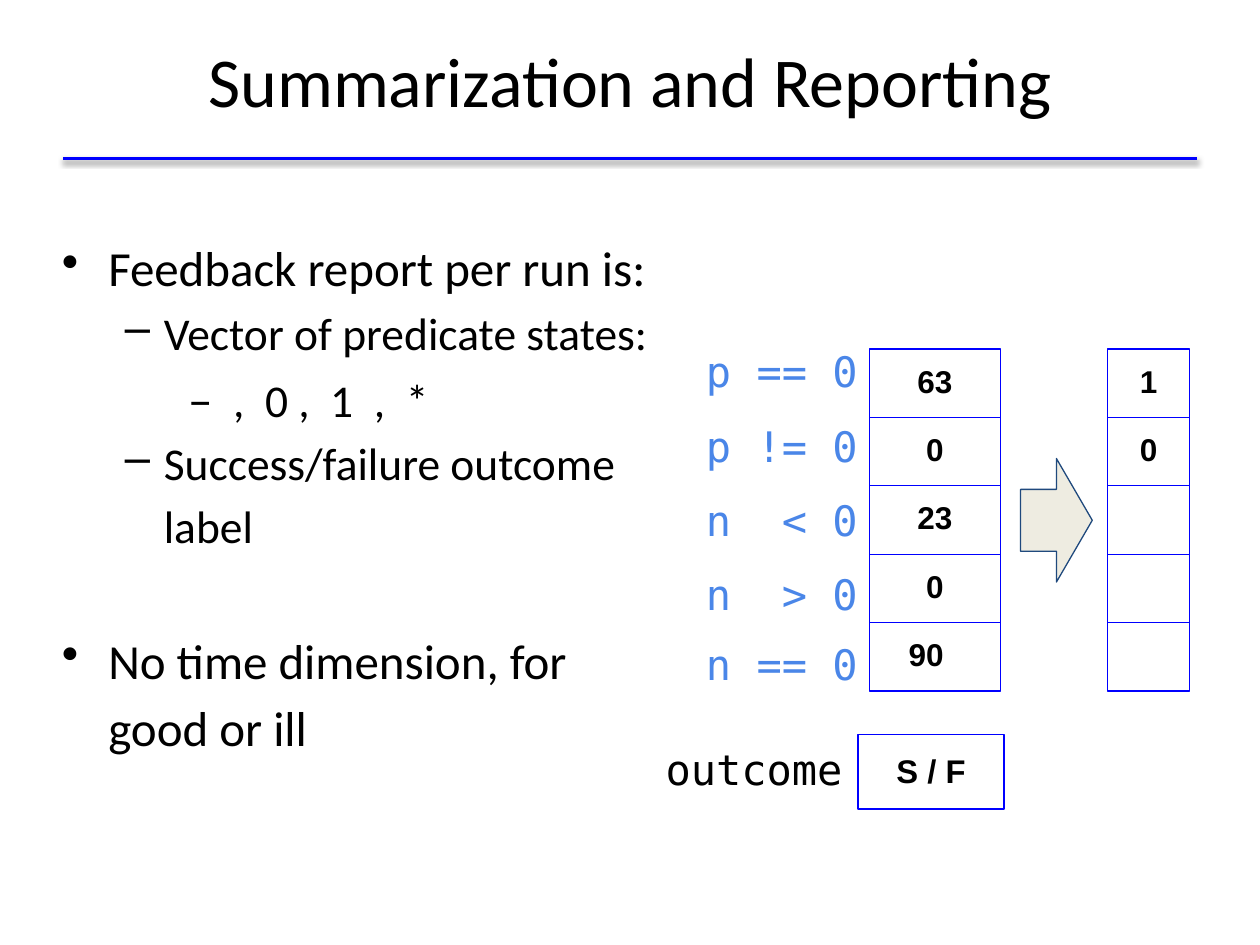
from lxml import etree
from pptx import Presentation
from pptx import util as u
from pptx.dml import color
from pptx.enum import shapes, text
from pptx.oxml import ns

Pt = u.Pt
BLUE = "0000FF"


def rgb(value):
    return color.RGBColor.from_string(value)


def write(shape, words, size, font="Calibri", ink="000000", bold=False, align="LEFT",
          spacing=1.0, before=0, margin=0, hanging=0, bullet=None, join=False):
    """Add a paragraph, or with join a run at the end of the last one."""
    frame = shape.text_frame
    paragraph = frame.paragraphs[-1]
    if not join:
        if paragraph.runs:
            paragraph = frame.add_paragraph()
        paragraph.alignment = getattr(text.PP_ALIGN, align)
        paragraph.line_spacing = spacing
        paragraph.space_before = Pt(before)
        properties = paragraph._p.get_or_add_pPr()
        properties.set("marL", str(Pt(margin)))
        properties.set("indent", str(Pt(-hanging)))
        if bullet:
            etree.SubElement(properties, ns.qn("a:buChar"), char=bullet)
    for index, line in enumerate(words.split("\n")):
        if index:
            paragraph.add_line_break()
        run = paragraph.add_run()
        run.text = line
        run.font.size = Pt(size)
        run.font.name = font
        run.font.bold = bold
        run.font.color.rgb = rgb(ink)


presentation = Presentation()
presentation.slide_width, presentation.slide_height = Pt(720), Pt(540)
slide = presentation.slides.add_slide(presentation.slide_layouts[6])

# Rule under the title, with a soft shadow
rule = slide.shapes.add_connector(shapes.MSO_CONNECTOR.STRAIGHT, Pt(36), Pt(90.7), Pt(684), Pt(90.7))
rule.line.color.rgb = rgb(BLUE)
rule.line.width = Pt(2)
effects = etree.SubElement(rule._element.spPr, ns.qn("a:effectLst"))
shadow = etree.SubElement(effects, ns.qn("a:outerShdw"), blurRad=str(Pt(3.1)),
                          dist=str(Pt(1.6)), dir="5400000", rotWithShape="0")
shade = etree.SubElement(shadow, ns.qn("a:srgbClr"), val="000000")
etree.SubElement(shade, ns.qn("a:alpha"), val="38000")

# Text boxes: left, top, width, height, side inset, top inset, anchor
boxes = []
for left, top, width, height, side, upper, anchor in [
    (36, 0.7, 648, 90, 9.4, 9.4, "MIDDLE"),
    (25.9, 126, 374.4, 377.3, 9.4, 5, "TOP"),
    (368.6, 419.8, 124.6, 34.6, 9.4, 9.4, "MIDDLE"),
    (371.5, 167, 150.5, 252.7, 7.2, 7.2, "MIDDLE"),
]:
    box = slide.shapes.add_textbox(Pt(left), Pt(top), Pt(width), Pt(height))
    frame = box.text_frame
    frame.word_wrap = True
    frame.vertical_anchor = getattr(text.MSO_ANCHOR, anchor)
    frame.margin_left = frame.margin_right = Pt(side)
    frame.margin_top = frame.margin_bottom = Pt(upper)
    boxes.append(box)
title, body, outcome, predicates = boxes

write(title, "Summarization and Reporting", 40, align="CENTER")

# Bulleted body
topic = dict(size=28, spacing=1.15, margin=26.6, hanging=26.6, bullet="•")
detail = dict(size=26, spacing=1.15, margin=58.3, hanging=22.3, bullet="–")
write(body, "Feedback report per run is:", **topic)
write(body, "Vector of predicate states:", **detail)
write(body, "‒", 28, spacing=1.15, margin=72)
write(body, "  ,  0 ,  1  ,  *", 26, join=True)
write(body, "Success/failure outcome\nlabel", **detail)
write(body, "No time dimension, for\ngood or ill", before=39.3, **topic)

# Labels beside the boxes
label = dict(size=24, font="DejaVu Sans Mono", align="CENTER", spacing=1.15)
write(outcome, "outcome", before=7.9, **label)
for predicate, gap in [("p == 0", 5.9), ("p != 0", 9.3), ("n  < 0", 9.3),
                       ("n  > 0", 9.3), ("n == 0", 6.7)]:
    write(predicates, predicate, ink="4A86E8", before=gap, **label)

# Outcome box and the two vectors: left, top, width, height, value, size, inset
ROW_TOP, ROW = 199.4, 39.1
cells = [(490.3, 419.8, 83.5, 42.5, "S / F", 18.7, 9.4)]
for left, width, values in [(496.8, 74.9, ["63", "0", "23", "0", "90"]),
                            (632.9, 46.8, ["1", "0", "", "", ""])]:
    for row, value in enumerate(values):
        cells.append((left, ROW_TOP + row * ROW, width, ROW, value, 18, 7.2))

for left, top, width, height, value, size, inset in cells:
    cell = slide.shapes.add_shape(shapes.MSO_SHAPE.RECTANGLE, Pt(left), Pt(top), Pt(width), Pt(height))
    cell.shadow.inherit = False
    cell.fill.background()
    cell.line.color.rgb = rgb(BLUE)
    cell.line.width = Pt(0.75)
    if value:
        frame = cell.text_frame
        frame.word_wrap = True
        frame.vertical_anchor = text.MSO_ANCHOR.TOP
        frame.margin_left = frame.margin_top = frame.margin_bottom = Pt(inset)
        # The last count sits a little left of centre
        frame.margin_right = Pt(inset + 10 if value == "90" else inset)
        write(cell, value, size, font="Arial", bold=True, align="CENTER")

# Arrow from counts to states
arrow = slide.shapes.add_shape(shapes.MSO_SHAPE.RIGHT_ARROW, Pt(583.2), Pt(262), Pt(41), Pt(70.6))
arrow.shadow.inherit = False
arrow.fill.solid()
arrow.fill.fore_color.rgb = rgb("EEECE1")
arrow.line.color.rgb = rgb("1F497D")
arrow.line.width = Pt(0.75)

presentation.save("out.pptx")
